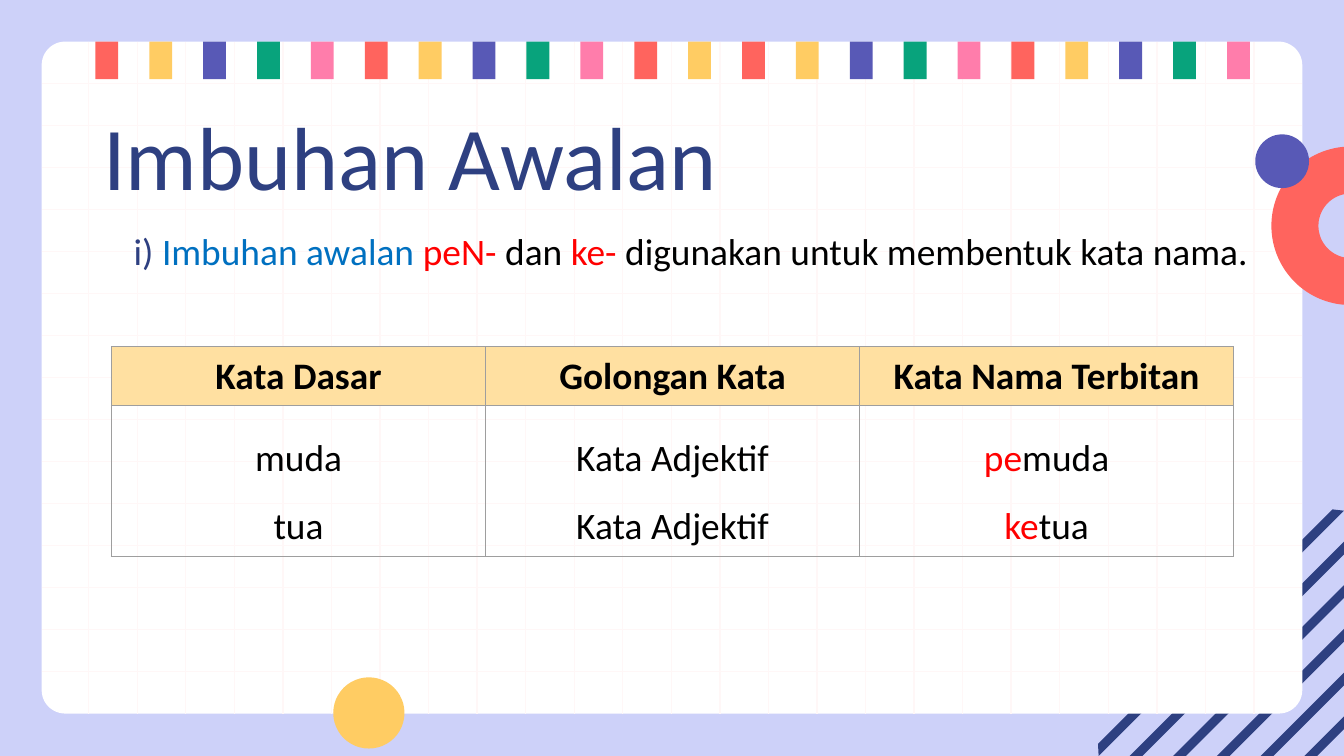
"""Builds the "Imbuhan Awalan" slide with its prefix table."""
import math
from dataclasses import dataclass

from lxml import etree
from pptx import Presentation
from pptx import oxml
from pptx import util as u
from pptx.dml.color import RGBColor
from pptx.enum import shapes, text
from pptx.oxml import ns

WIDTH, HEIGHT = 10, 5.625


@dataclass(frozen=True)
class Theme:
    font: str = "Calibri"
    title_size: int = 48
    body_size: int = 20
    backdrop: str = "CDD1F9"
    paper: str = "FFFFFF"
    grid: str = "FFF7F7"
    navy: str = "2E4081"
    coral: str = "FF645E"
    yellow: str = "FFCC63"
    purple: str = "5859B6"
    green: str = "08A37C"
    pink: str = "FF7DAB"
    blue: str = "0070C0"
    red: str = "FF0000"
    ink: str = "000000"
    header: str = "FFE0A1"
    border: str = "9E9E9E"


class SlideBuilder:
    def __init__(self, slide, theme):
        self.slide = slide
        self.theme = theme
        self.paint(slide.background.fill, theme.backdrop)

    def paint(self, fill, color):
        fill.solid()
        fill.fore_color.rgb = RGBColor.from_string(color)

    def finish(self, item, color):
        self.paint(item.fill, color)
        item.line.fill.background()
        item.shadow.inherit = False

    def shape(self, kind, left, top, width, height, color):
        item = self.slide.shapes.add_shape(
            kind, *map(u.Inches, (left, top, width, height)))
        self.finish(item, color)
        return item

    def outline(self, points, color):
        start, *rest = [(u.Inches(x), u.Inches(y)) for x, y in points]
        builder = self.slide.shapes.build_freeform(*start)
        builder.add_line_segments(rest, close=True)
        self.finish(builder.convert_to_shape(), color)

    def line(self, x1, y1, x2, y2, color):
        rule = self.slide.shapes.add_connector(
            shapes.MSO_CONNECTOR.STRAIGHT, *map(u.Inches, (x1, y1, x2, y2)))
        rule.line.color.rgb = RGBColor.from_string(color)
        rule.line.width = u.Pt(0.75)
        etree.SubElement(rule._element.spPr, ns.qn("a:effectLst"))

    def runs(self, paragraph, parts, size, bold=False):
        for words, color in parts:
            run = paragraph.add_run()
            run.text = words
            run.font.name = self.theme.font
            run.font.size = u.Pt(size)
            run.font.bold = bold
            run.font.color.rgb = RGBColor.from_string(color)

    def text(self, left, top, width, height, parts, size,
             align=text.PP_ALIGN.LEFT, indent=0, spacing=1.0):
        box = self.slide.shapes.add_textbox(
            *map(u.Inches, (left, top, width, height)))
        frame = box.text_frame
        frame.word_wrap = True
        frame.vertical_anchor = text.MSO_ANCHOR.TOP
        frame.margin_left = frame.margin_right = u.Inches(0.1)
        frame.margin_top = frame.margin_bottom = u.Inches(0.1)
        paragraph = frame.paragraphs[0]
        paragraph.alignment = align
        paragraph.line_spacing = spacing
        paragraph._p.get_or_add_pPr().set("marL", str(u.Inches(indent)))
        self.runs(paragraph, parts, size)

    def cell(self, cell, lines, fill=None, bold=False, spacing=1.0):
        properties = cell._tc.get_or_add_tcPr()
        for side in ("lnL", "lnR", "lnT", "lnB"):
            properties.append(oxml.parse_xml(
                f'<a:{side} {ns.nsdecls("a")} w="9525"><a:solidFill>'
                f'<a:srgbClr val="{self.theme.border}"/></a:solidFill></a:{side}>'))
        if fill:
            self.paint(cell.fill, fill)
        else:
            cell.fill.background()
        frame = cell.text_frame
        for number, parts in enumerate(lines):
            paragraph = frame.add_paragraph() if number else frame.paragraphs[0]
            paragraph.alignment = text.PP_ALIGN.CENTER
            paragraph.line_spacing = spacing
            self.runs(paragraph, parts, self.theme.body_size, bold)

    def table(self, left, top, width, heights, headings, columns):
        table = self.slide.shapes.add_table(
            2, len(headings),
            *map(u.Inches, (left, top, width, sum(heights)))).table
        table.horz_banding = False
        for row, height in zip(table.rows, heights):
            row.height = u.Inches(height)
        for index, (heading, lines) in enumerate(zip(headings, columns)):
            self.cell(table.cell(0, index), [[(heading, self.theme.ink)]],
                      self.theme.header, bold=True)
            self.cell(table.cell(1, index), lines, spacing=1.5)


def corner_stripes(builder, color, left=8.17, top=3.79):
    def upper(total):
        y = max(total - WIDTH, top)
        return total - y, y

    def lower(total):
        x = max(total - HEIGHT, left)
        return x, total - x

    for index in range(7):
        near = 15.33 - 0.325 * index
        far = near + 0.095
        builder.outline([upper(near), lower(near), lower(far), upper(far)], color)


def half_ring(builder, color, x=10.05, y=1.68, outer=0.59, inner=0.24):
    def arc(radius):
        return [(x + radius * math.cos(math.radians(angle)),
                 y + radius * math.sin(math.radians(angle)))
                for angle in range(90, 271, 3)]

    builder.outline(arc(outer) + arc(inner)[::-1], color)


def main():
    deck = Presentation()
    deck.slide_width, deck.slide_height = u.Inches(WIDTH), u.Inches(HEIGHT)
    theme = Theme()
    builder = SlideBuilder(deck.slides.add_slide(deck.slide_layouts[6]), theme)
    kinds = shapes.MSO_SHAPE

    corner_stripes(builder, theme.navy)
    paper = builder.shape(kinds.ROUNDED_RECTANGLE, 0.31, 0.31, 9.38, 5, theme.paper)
    paper.adjustments[0] = 0.035
    for row in range(1, 16):
        y = 0.31 + 0.3125 * row
        builder.line(0.31, y, 9.69, y, theme.grid)
    for column in range(25):
        x = 0.66 + 8.67 / 24 * column
        builder.line(x, 0.31, x, 5.31, theme.grid)

    cycle = [theme.coral, theme.yellow, theme.purple, theme.green, theme.pink]
    for index, color in enumerate(cycle * 2 + cycle[:2] + cycle * 2):
        builder.shape(kinds.RECTANGLE, 0.71 + 8.42 / 21 * index, 0.31,
                      0.17, 0.28, color)

    half_ring(builder, theme.coral)
    builder.shape(kinds.OVAL, 2.48, 5.04, 0.53, 0.53, theme.yellow)
    builder.shape(kinds.OVAL, 9.34, 1, 0.4, 0.4, theme.purple)

    builder.text(0.67, 0.65, 8.43, 0.63, [("Imbuhan Awalan", theme.navy)],
                 theme.title_size)
    builder.text(0.59, 1.55, 8.95, 3.54, [
        ("i) ", theme.navy), ("Imbuhan awalan ", theme.blue),
        ("peN- ", theme.red), ("dan ", theme.ink), ("ke- ", theme.red),
        ("digunakan untuk membentuk kata nama.", theme.ink),
    ], theme.body_size, text.PP_ALIGN.CENTER, indent=0.15, spacing=1.15)

    prefixed = [("pe", "muda"), ("ke", "tua")]
    builder.table(0.83, 2.58, 8.35, (0.44, 1.12),
                  ["Kata Dasar", "Golongan Kata", "Kata Nama Terbitan"], [
                      [[(root, theme.ink)] for _, root in prefixed],
                      [[("Kata Adjektif", theme.ink)] for _ in prefixed],
                      [[(prefix, theme.red), (root, theme.ink)]
                       for prefix, root in prefixed],
                  ])
    deck.save("out.pptx")


if __name__ == "__main__":
    main()
